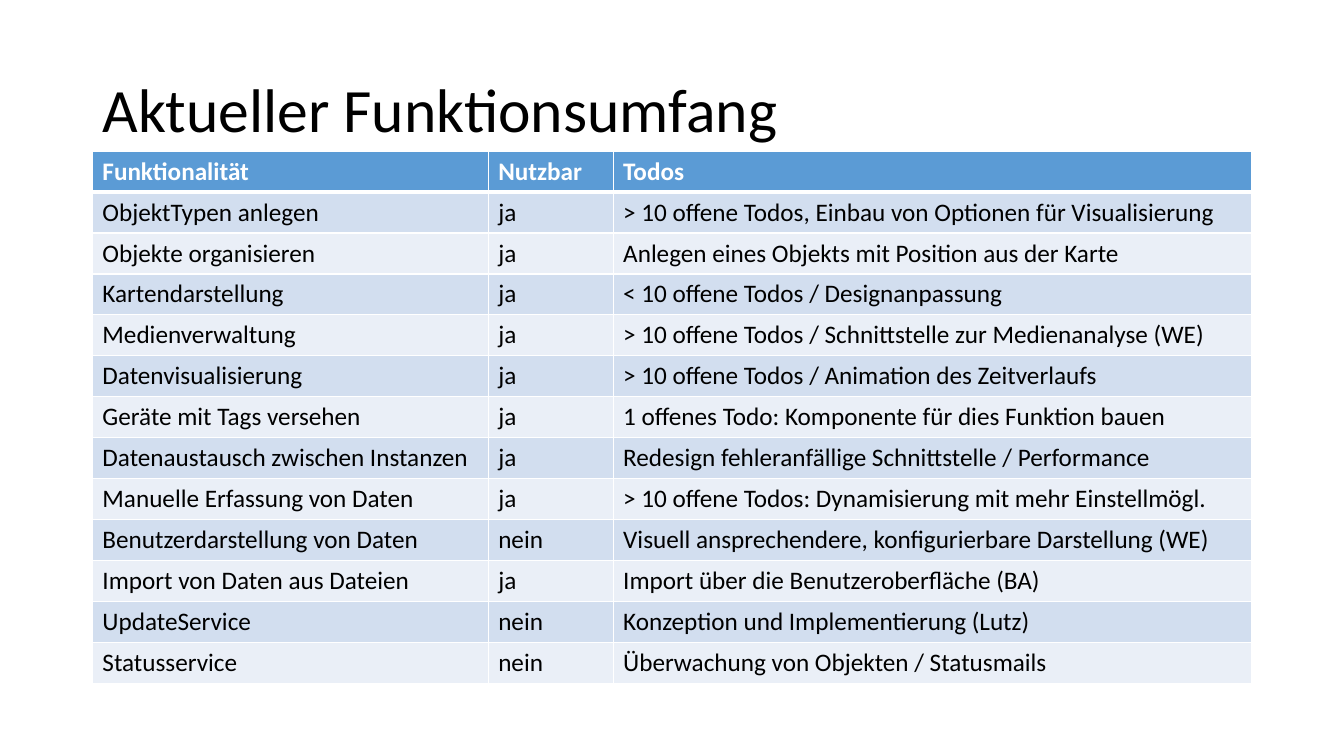
from dataclasses import dataclass

from lxml import etree
from pptx import Presentation
from pptx.dml.color import RGBColor
from pptx.enum.text import MSO_ANCHOR, PP_ALIGN
from pptx.oxml.ns import qn
from pptx.util import Pt

PX = 9525
LEFT = PP_ALIGN.LEFT
MIDDLE = MSO_ANCHOR.MIDDLE
TOP = MSO_ANCHOR.TOP


@dataclass(frozen=True)
class Theme:
    font: str = "Calibri"
    ink: str = "000000"
    white: str = "FFFFFF"
    head: str = "5B9BD5"
    bands: tuple = ("D2DEEF", "EAEFF7")
    title: int = 44
    body: int = 18
    rule: int = 1
    thick: int = 3


THEME = Theme()
COLS = (377, 119, 608)
ROWS = (
    ("Funktionalität", "Nutzbar", "Todos"),
    ("ObjektTypen anlegen", "ja",
     "> 10 offene Todos, Einbau von Optionen für Visualisierung"),
    ("Objekte organisieren", "ja",
     "Anlegen eines Objekts mit Position aus der Karte"),
    ("Kartendarstellung", "ja", "< 10 offene Todos / Designanpassung"),
    ("Medienverwaltung", "ja",
     "> 10 offene Todos / Schnittstelle zur Medienanalyse (WE)"),
    ("Datenvisualisierung", "ja",
     "> 10 offene Todos / Animation des Zeitverlaufs"),
    ("Geräte mit Tags versehen", "ja",
     "1 offenes Todo: Komponente für dies Funktion bauen"),
    ("Datenaustausch zwischen Instanzen", "ja",
     "Redesign fehleranfällige Schnittstelle / Performance"),
    ("Manuelle Erfassung von Daten", "ja",
     "> 10 offene Todos: Dynamisierung mit mehr Einstellmögl."),
    ("Benutzerdarstellung von Daten", "nein",
     "Visuell ansprechendere, konfigurierbare Darstellung (WE)"),
    ("Import von Daten aus Dateien", "ja",
     "Import über die Benutzeroberfläche (BA)"),
    ("UpdateService", "nein", "Konzeption und Implementierung (Lutz)"),
    ("Statusservice", "nein", "Überwachung von Objekten / Statusmails"),
)


def write(frame, text, size, color, bold=False):
    frame.text = text
    para = frame.paragraphs[0]
    para.alignment = LEFT
    font = para.runs[0].font
    font.name = THEME.font
    font.size = Pt(size)
    font.bold = bold
    font.color.rgb = RGBColor.from_string(color)
    return para


def border(cell, top, bottom):
    """Draw white cell edges; widths are in points."""
    props = cell._tc.get_or_add_tcPr()
    widths = {"L": THEME.rule, "R": THEME.rule, "T": top, "B": bottom}
    for spot, (side, width) in enumerate(widths.items()):
        line = etree.Element(qn(f"a:ln{side}"), w=str(Pt(width)))
        fill = etree.SubElement(line, qn("a:solidFill"))
        etree.SubElement(fill, qn("a:srgbClr"), val=THEME.white)
        props.insert(spot, line)


def add_title(slide, text, box):
    title = slide.shapes.title
    title.left, title.top, title.width, title.height = (n * PX for n in box)
    frame = title.text_frame
    frame.word_wrap = True
    frame.vertical_anchor = MIDDLE
    write(frame, text, THEME.title, THEME.ink).line_spacing = 0.9


def add_grid(slide, rows, cols, box):
    frame = slide.shapes.add_table(len(rows), len(cols), *(n * PX for n in box))
    table = frame.table
    for col, width in zip(table.columns, cols):
        col.width = width * PX
    for r, texts in enumerate(rows):
        table.rows[r].height = box[3] * PX // len(rows)
        head = r == 0
        fill = THEME.head if head else THEME.bands[(r - 1) % 2]
        color = THEME.white if head else THEME.ink
        top = THEME.thick if r == 1 else THEME.rule
        bottom = THEME.thick if head else THEME.rule
        for c, text in enumerate(texts):
            cell = table.cell(r, c)
            cell.vertical_anchor = TOP
            cell.fill.solid()
            cell.fill.fore_color.rgb = RGBColor.from_string(fill)
            border(cell, top, bottom)
            write(cell.text_frame, text, THEME.body, color, head)


def main():
    deck = Presentation()
    deck.slide_width, deck.slide_height = 1280 * PX, 720 * PX
    slide = deck.slides.add_slide(deck.slide_layouts[5])
    left, width = 88, sum(COLS)
    add_title(slide, "Aktueller Funktionsumfang", (left, 38, width, 139))
    add_grid(slide, ROWS, COLS, (left, 144, width, 39 * len(ROWS)))
    deck.save("out.pptx")


if __name__ == "__main__":
    main()
